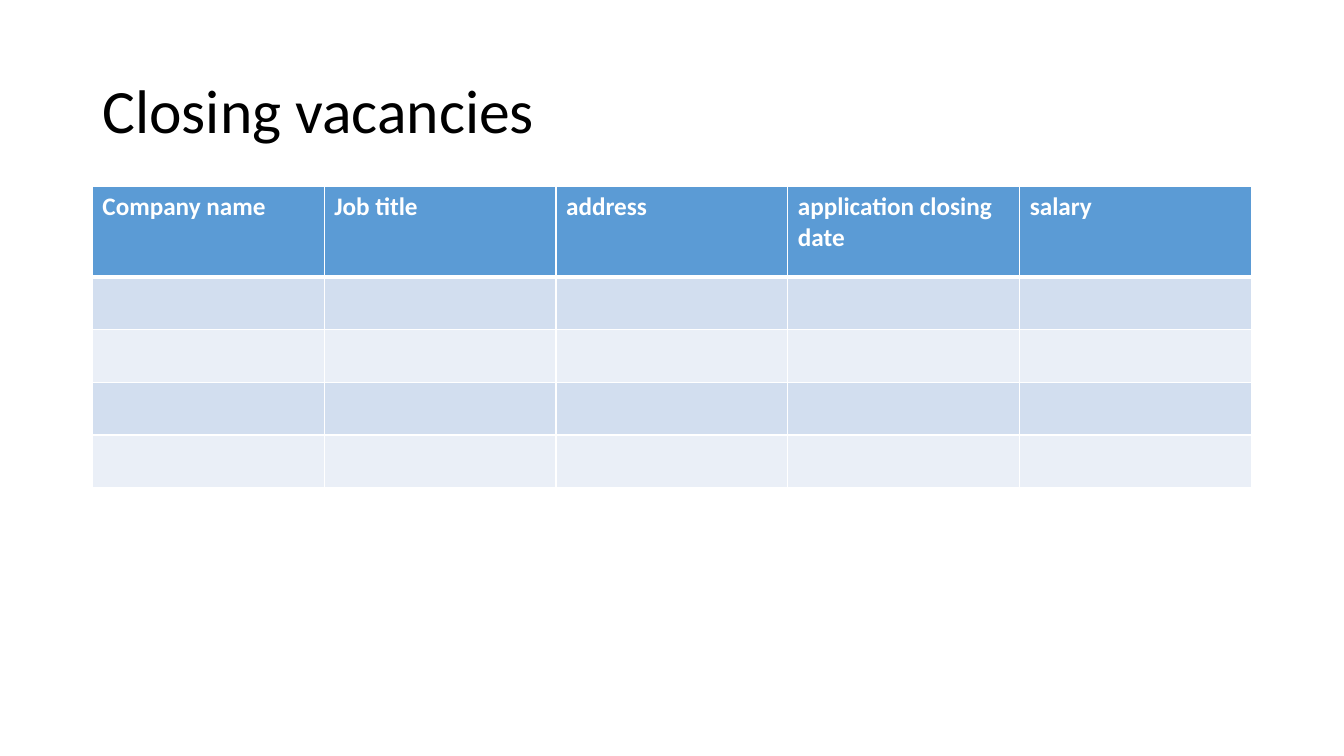
from dataclasses import dataclass

from lxml import etree
from pptx import Presentation
from pptx.dml.color import RGBColor
from pptx.enum import text
from pptx.oxml import ns
from pptx.util import Pt


@dataclass(frozen=True)
class Theme:
    font: str = "Calibri"
    title_size: int = 44
    table_size: int = 18
    ink: str = "000000"
    paper: str = "FFFFFF"
    header: str = "5B9BD5"
    bands: tuple = ("D2DEEF", "EAEFF7")


theme = Theme()


def set_font(paragraph, size, color, bold=False):
    font = paragraph.font
    font.name, font.size, font.bold = theme.font, Pt(size), bold
    font.color.rgb = RGBColor.from_string(color)


def add_border(cell, side, weight):
    properties = cell._tc.get_or_add_tcPr()
    line = etree.SubElement(properties, ns.qn(f"a:ln{side}"), w=str(Pt(weight)))
    fill = etree.SubElement(line, ns.qn("a:solidFill"))
    etree.SubElement(fill, ns.qn("a:srgbClr"), val=theme.paper)


deck = Presentation()
deck.slide_width, deck.slide_height = Pt(960), Pt(540)
slide = deck.slides.add_slide(deck.slide_layouts[5])

left, width = 66, 828
title = slide.shapes.title
title.left, title.top, title.width, title.height = Pt(left), Pt(28.75), Pt(width), Pt(104.4)
title.text_frame.text = "Closing vacancies"
title.text_frame.vertical_anchor = text.MSO_ANCHOR.MIDDLE
heading = title.text_frame.paragraphs[0]
heading.alignment = text.PP_ALIGN.LEFT
heading.line_spacing = 0.9
set_font(heading, theme.title_size, theme.ink)

headers = ["Company name", "Job title", "address", "application closing date", "salary"]
row_heights = [64.8] + [37.6] * 4
vacancies = slide.shapes.add_table(
    len(row_heights), len(headers), Pt(left), Pt(133.1), Pt(width), Pt(sum(row_heights))
).table

for column in vacancies.columns:
    column.width = Pt(width / len(headers))

for index, height in enumerate(row_heights):
    row = vacancies.rows[index]
    row.height = Pt(height)
    color = theme.bands[(index - 1) % 2] if index else theme.header
    for header, cell in zip(headers, row.cells):
        for side in "LRTB":
            under_header = (index, side) in ((0, "B"), (1, "T"))
            add_border(cell, side, 3 if under_header else 1)
        cell.fill.solid()
        cell.fill.fore_color.rgb = RGBColor.from_string(color)
        if index == 0:
            cell.text = header
            set_font(cell.text_frame.paragraphs[0], theme.table_size, theme.paper, True)

deck.save("out.pptx")
